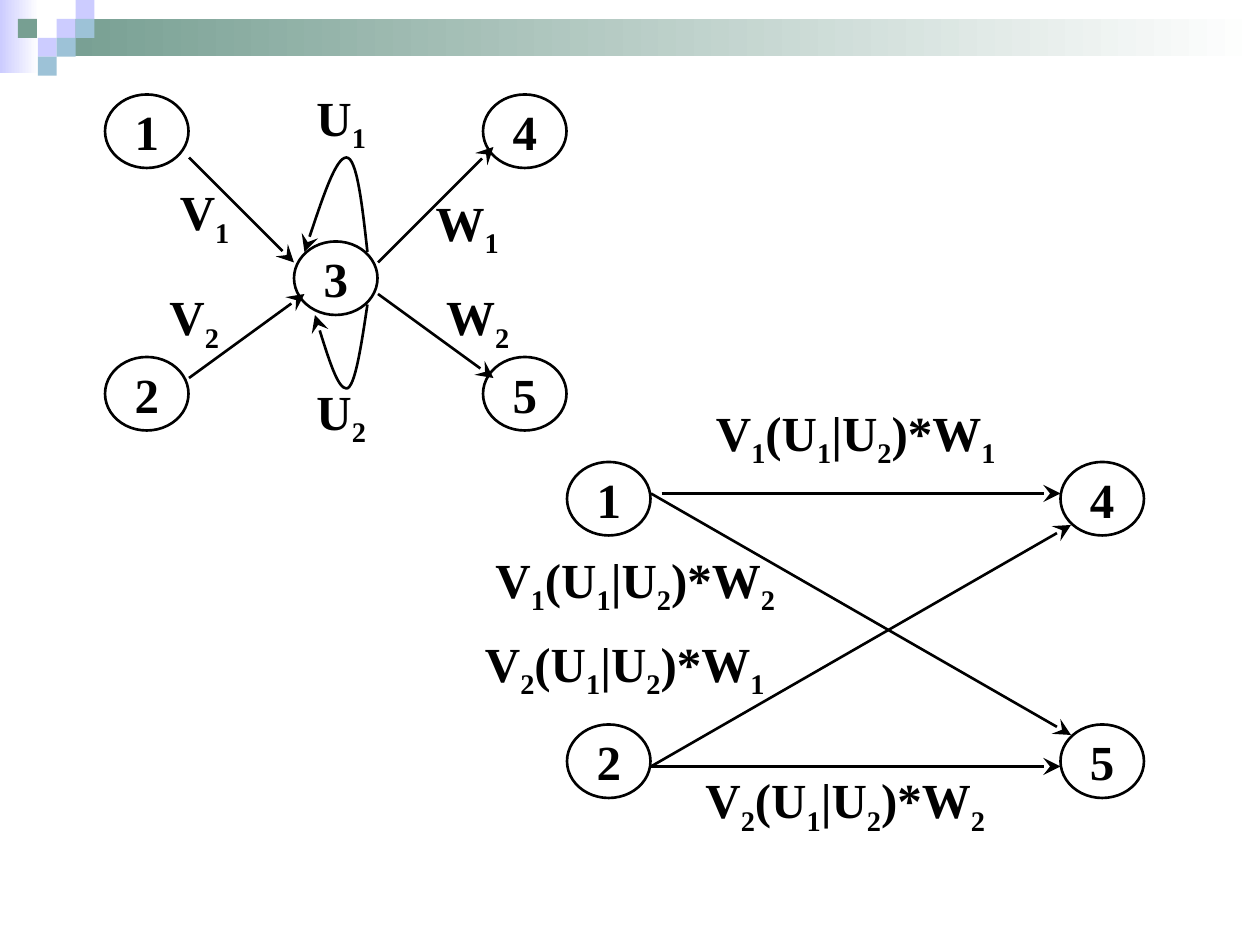
from dataclasses import dataclass
from itertools import groupby

from lxml.etree import SubElement
from pptx import Presentation
from pptx.dml.color import RGBColor
from pptx.enum.shapes import MSO_CONNECTOR as Connector, MSO_SHAPE as Shape
from pptx.enum.text import MSO_ANCHOR as Anchor, PP_ALIGN as Align
from pptx.oxml.ns import qn
from pptx.util import Inches, Pt

COLORS = {
    "ink": "000000",
    "white": "FFFFFF",
    "lilac": "CCCCFF",
    "green": "779F92",
    "blue": "9DC2D7",
}
FONT = "Times New Roman"
CELL = Inches(10) / 120  # diagram grid: 120 columns by 90 rows
TILE = Inches(0.15)      # grid of the header mosaic
NODE_SIZE = (7.95, 7)
LABEL_HEIGHT = 7
FORMULA_WIDTH = 31

Point = tuple[float, float]


@dataclass(frozen=True)
class Text:
    text: str
    column: float
    row: float
    columns: float = 11


@dataclass(frozen=True)
class Edge:
    start: Point
    end: Point


@dataclass(frozen=True)
class Tile:
    column: float
    row: float
    color: str
    columns: float = 1
    rows: float = 1
    fades: bool = False


HEADER = [
    Tile(0, 0, "lilac", 2.05, 3.87, fades=True),
    Tile(3, 1, "green", 63.67, 1.97, fades=True),
    Tile(3, 1, "lilac"),
    Tile(4, 0, "lilac"),
    Tile(4, 1, "blue"),
    Tile(2, 2, "lilac"),
    Tile(0.95, 1, "green"),
    Tile(3, 2, "blue"),
    Tile(2, 3, "blue"),
]
NODES = [
    # Graph before node 3 is eliminated
    Text("1", 10, 9), Text("2", 10, 34), Text("3", 28, 23),
    Text("5", 46, 34), Text("4", 46, 9),
    # Graph after node 3 is eliminated
    Text("1", 54, 44), Text("2", 54, 69), Text("5", 101, 69), Text("4", 101, 44),
]
LABELS = [
    Text("U1", 27, 8), Text("V1", 14, 17), Text("U2", 27, 36),
    Text("V2", 13, 27), Text("W2", 40, 27), Text("W1", 39, 18),
    Text("V1(U1|U2)*W1", 66, 38, FORMULA_WIDTH),
    Text("V1(U1|U2)*W2", 45, 52, FORMULA_WIDTH),
    Text("V2(U1|U2)*W2", 65, 73, FORMULA_WIDTH),
    Text("V2(U1|U2)*W1", 44, 60, FORMULA_WIDTH),
]
EDGES = [
    Edge((18, 15), (28, 25)), Edge((18, 36), (29, 28)),
    Edge((36, 25), (47, 14)), Edge((36, 28), (47, 36)),
    Edge((63, 47), (101, 47)), Edge((62, 73), (101, 73)),
    Edge((62, 73), (102, 50)), Edge((62, 47), (102, 70)),
]
# Each loop: a start point, then two Bezier segments of three points
LOOPS = [
    [(35, 24), (34.5, 19.5), (34, 15), (33, 15), (32, 15), (30.5, 19.5), (29, 24)],
    [(35, 29), (34.4, 33), (33.8, 37), (33, 37), (32.2, 37), (31.1, 33.6), (30, 30)],
]


def rgb(name: str) -> RGBColor:
    return RGBColor.from_string(COLORS[name])


def on_grid(*values: float, unit: float = CELL) -> list[int]:
    return [round(value * unit) for value in values]


def style_line(shape, arrow: bool = False) -> None:
    shape.line.color.rgb = rgb("ink")
    shape.line.width = Pt(1.5)
    if arrow:
        outline = shape.line._get_or_add_ln()
        SubElement(outline, qn("a:tailEnd"), type="stealth", w="lg", len="lg")


def write_text(shape, parts: list[tuple[str, bool]]) -> None:
    frame = shape.text_frame
    frame.word_wrap = False
    frame.vertical_anchor = Anchor.MIDDLE
    paragraph = frame.paragraphs[0]
    paragraph.alignment = Align.CENTER
    for text, subscript in parts:
        run = paragraph.add_run()
        run.text = text
        run.font.name = FONT
        run.font.size = Pt(28)
        run.font.bold = True
        run.font.color.rgb = rgb("ink")
        if subscript:
            run._r.get_or_add_rPr().set("baseline", "-25000")


def draw_tile(slide, tile: Tile) -> None:
    box = on_grid(tile.column, tile.row, tile.columns, tile.rows, unit=TILE)
    shape = slide.shapes.add_shape(Shape.RECTANGLE, *box)
    shape.shadow.inherit = False
    shape.line.fill.background()
    if tile.fades:
        shape.fill.gradient()
        shape.fill.gradient_angle = 180
        for stop, color in zip(shape.fill.gradient_stops, ("white", tile.color)):
            stop.color.rgb = rgb(color)
    else:
        shape.fill.solid()
        shape.fill.fore_color.rgb = rgb(tile.color)


def draw_node(slide, node: Text) -> None:
    box = on_grid(node.column, node.row, *NODE_SIZE)
    shape = slide.shapes.add_shape(Shape.OVAL, *box)
    shape.shadow.inherit = False
    shape.fill.background()
    style_line(shape)
    write_text(shape, [(node.text, False)])


def draw_label(slide, label: Text) -> None:
    box = on_grid(label.column, label.row, label.columns, LABEL_HEIGHT)
    parts = [("".join(group), digits) for digits, group in groupby(label.text, str.isdigit)]
    write_text(slide.shapes.add_textbox(*box), parts)


def draw_edge(slide, edge: Edge) -> None:
    ends = on_grid(*edge.start, *edge.end)
    connector = slide.shapes.add_connector(Connector.STRAIGHT, *ends)
    style_line(connector, arrow=True)
    SubElement(connector._element.spPr, qn("a:effectLst"))


def draw_loop(slide, points: list[Point]) -> None:
    start, *others = [on_grid(*point) for point in points]
    builder = slide.shapes.build_freeform(*start)
    builder.add_line_segments(others, close=False)
    shape = builder.convert_to_shape()
    shape.shadow.inherit = False
    shape.fill.background()
    style_line(shape, arrow=True)
    # Every three straight segments become one cubic curve
    outline = shape._element.find(".//" + qn("a:path"))
    segments = outline.findall(qn("a:lnTo"))
    for first in range(0, len(segments), 3):
        curve = SubElement(outline, qn("a:cubicBezTo"))
        for segment in segments[first:first + 3]:
            curve.append(segment[0])
            outline.remove(segment)


def main() -> None:
    presentation = Presentation()
    presentation.slide_width, presentation.slide_height = Inches(10), Inches(7.5)
    slide = presentation.slides.add_slide(presentation.slide_layouts[6])
    for draw, items in (
        (draw_tile, HEADER),
        (draw_node, NODES),
        (draw_label, LABELS),
        (draw_edge, EDGES),
        (draw_loop, LOOPS),
    ):
        for item in items:
            draw(slide, item)
    presentation.save("out.pptx")


if __name__ == "__main__":
    main()
